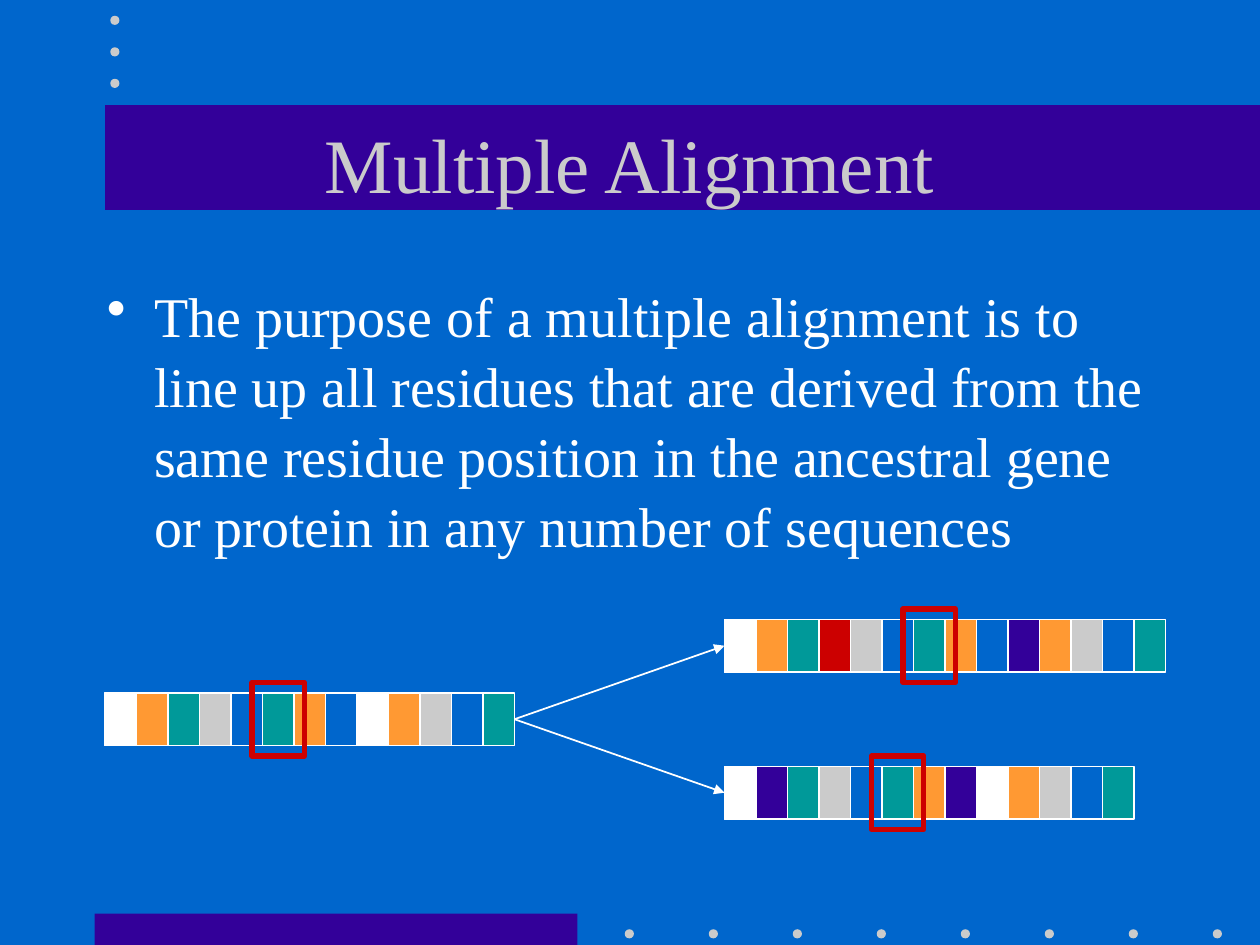
from typing import NamedTuple

from lxml.etree import SubElement
from pptx import Presentation
from pptx.dml.color import RGBColor
from pptx.enum.shapes import MSO_CONNECTOR, MSO_SHAPE
from pptx.enum.text import MSO_ANCHOR, PP_ALIGN
from pptx.oxml.ns import qn
from pptx.util import Pt

PX = 9525
CELL_W, CELL_H = 24, 40
MARK_W, MARK_H, MARK_GAP = 40, 56, 8
DOT = 7

BLUE = RGBColor(0x00, 0x66, 0xCC)
PURPLE = RGBColor(0x33, 0x00, 0x99)
GREY = RGBColor(0xCB, 0xCB, 0xCB)
WHITE = RGBColor(0xFF, 0xFF, 0xFF)
ORANGE = RGBColor(0xFF, 0x99, 0x33)
TEAL = RGBColor(0x00, 0x99, 0x99)
RED = RGBColor(0xCC, 0x00, 0x00)
RESIDUES = {"W": WHITE, "O": ORANGE, "T": TEAL, "G": GREY,
            "B": BLUE, "P": PURPLE, "R": RED}


class Box(NamedTuple):
    x: int
    y: int
    w: int
    h: int

    def emu(self) -> list[int]:
        """Return the box lengths in EMU."""
        return [v * PX for v in self]


class Sequence(NamedTuple):
    x: int
    y: int
    residues: str
    mark_x: int


ANCESTOR = Sequence(80, 528, "WOTGBTOBWOGBT", 192)
DESCENDANTS = [
    Sequence(552, 472, "WOTRGBTOBPOGBT", 688),
    Sequence(552, 584, "WPTGBTOPWOGBT", 664),
]
BARS = [Box(72, 696, 368, 24), Box(80, 80, 880, 80)]
DOTS = ([Box(476 + 64 * i, 708, DOT, DOT) for i in range(8)]
        + [Box(84, 12 + 24 * i, DOT, DOT) for i in range(3)])

TITLE = "Multiple Alignment"
PURPOSE = ("The purpose of a multiple alignment is to line up all residues that are "
           "derived from the same residue position in the ancestral gene or protein "
           "in any number of sequences")
TITLE_FONT = {"name": "Times New Roman", "size": Pt(44)}
BODY_FONT = {"name": "Times New Roman", "size": Pt(32)}


def add_block(shapes, box: Box, fill=None, line=None, width=1, kind=MSO_SHAPE.RECTANGLE):
    """Draw a preset shape with an optional fill and outline."""
    sp = shapes.add_shape(kind, *box.emu())
    sp.shadow.inherit = False
    if fill is None:
        sp.fill.background()
    else:
        sp.fill.solid()
        sp.fill.fore_color.rgb = fill
    if line is None:
        sp.line.fill.background()
    else:
        sp.line.color.rgb = line
        sp.line.width = Pt(width)
    return sp


def add_text(shapes, box: Box, text: str, font: dict, color: RGBColor):
    """Add a wrapped text box and return its frame and paragraph."""
    tf = shapes.add_textbox(*box.emu()).text_frame
    tf.word_wrap = True
    p = tf.paragraphs[0]
    r = p.add_run()
    r.text = text
    for key, value in font.items():
        setattr(r.font, key, value)
    r.font.color.rgb = color
    return tf, p


def add_bullet(p, indent: int) -> None:
    """Give a paragraph a hanging round bullet."""
    pPr = p._p.get_or_add_pPr()
    pPr.set("marL", str(indent * PX))
    pPr.set("indent", str(-indent * PX))
    SubElement(pPr, qn("a:buChar")).set("char", "•")


def add_sequence(shapes, seq: Sequence):
    """Draw a residue strip and return the rectangle behind its cells."""
    group = shapes.add_group_shape().shapes
    *cells, last = seq.residues
    width = CELL_W * len(seq.residues)
    strip = add_block(group, Box(seq.x, seq.y, width, CELL_H), RESIDUES[last], WHITE)
    for i, residue in enumerate(cells):
        box = Box(seq.x + CELL_W * i, seq.y, CELL_W, CELL_H)
        add_block(group, box, RESIDUES[residue], WHITE)
    return strip


def add_arrow(shapes, start, end) -> None:
    """Join the right side of one strip to the left side of another."""
    cxn = shapes.add_connector(MSO_CONNECTOR.STRAIGHT, 0, 0, 0, 0)
    cxn.begin_connect(start, 3)
    cxn.end_connect(end, 1)
    cxn.line.color.rgb = WHITE
    cxn.line.width = Pt(1)
    SubElement(cxn.line._get_or_add_ln(), qn("a:tailEnd")).set("type", "triangle")
    SubElement(cxn._element.spPr, qn("a:effectLst"))


def main() -> None:
    """Build the multiple alignment slide."""
    prs = Presentation()
    prs.slide_width, prs.slide_height = 960 * PX, 720 * PX
    s = prs.slides.add_slide(prs.slide_layouts[6])
    s.background.fill.solid()
    s.background.fill.fore_color.rgb = BLUE

    for bar in BARS:
        add_block(s.shapes, bar, PURPLE)
    for dot in DOTS:
        add_block(s.shapes, dot, GREY, kind=MSO_SHAPE.OVAL)

    tf, p = add_text(s.shapes, Box(72, 64, 816, 120), TITLE, TITLE_FONT, GREY)
    tf.vertical_anchor = MSO_ANCHOR.MIDDLE
    p.alignment = PP_ALIGN.CENTER
    _, p = add_text(s.shapes, Box(72, 208, 816, 432), PURPOSE, BODY_FONT, WHITE)
    p.line_spacing = 1.04
    add_bullet(p, 36)

    ancestor = add_sequence(s.shapes, ANCESTOR)
    for seq in DESCENDANTS:
        add_arrow(s.shapes, ancestor, add_sequence(s.shapes, seq))
    for seq in [ANCESTOR, *DESCENDANTS]:
        add_block(s.shapes, Box(seq.mark_x, seq.y - MARK_GAP, MARK_W, MARK_H), line=RED, width=3)

    prs.save("out.pptx")


if __name__ == "__main__":
    main()
